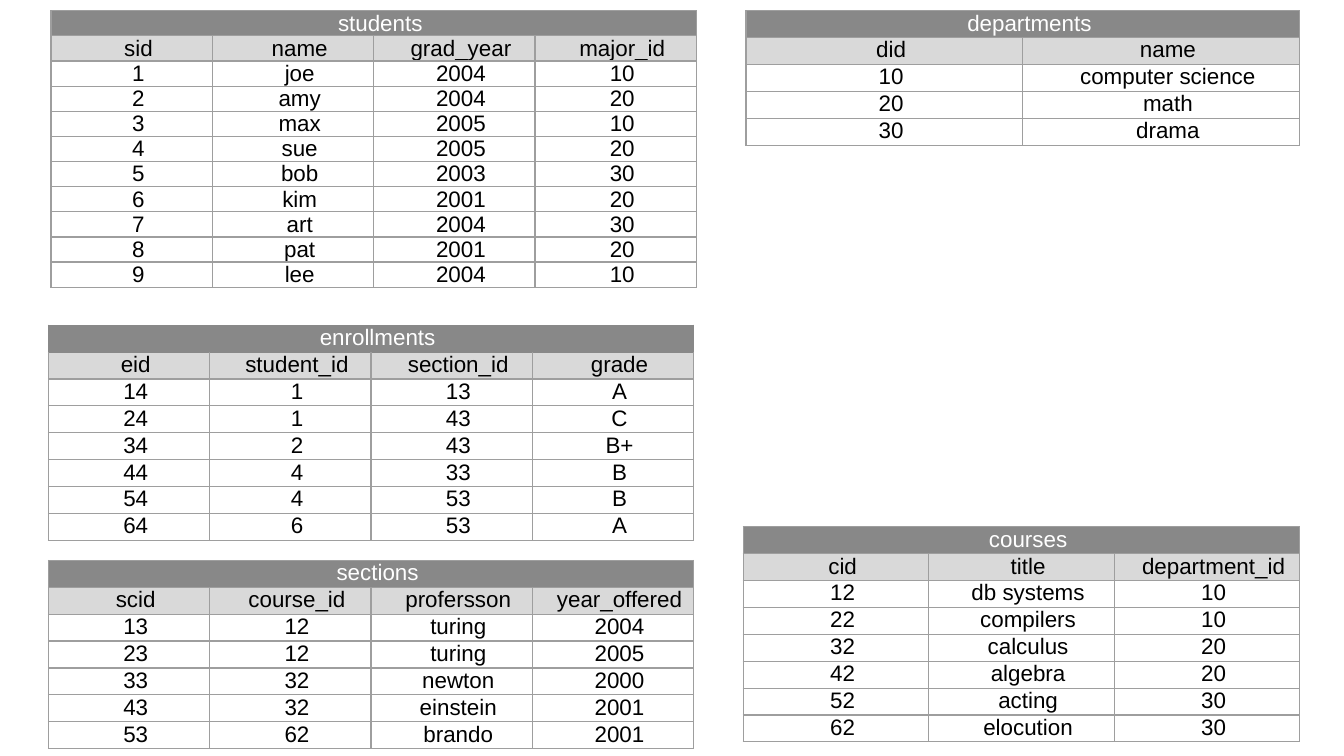
from dataclasses import dataclass

from lxml import etree
from pptx import Presentation
from pptx.dml.color import RGBColor
from pptx.enum.text import PP_ALIGN
from pptx.oxml.ns import qn
from pptx.util import Inches, Pt

CENTER = PP_ALIGN.CENTER
BLANK_LAYOUT = 6


@dataclass(frozen=True)
class Theme:
    font: str = "Arial"
    size: int = 12
    title_fill: str = "888888"
    header_fill: str = "D9D9D9"
    border: str = "9E9E9E"
    border_width: float = 0.75
    title_text: str = "FFFFFF"
    text: str = "000000"


THEME = Theme()

STUDENTS = [
    ("sid", "name", "grad_year", "major_id"),
    ("1", "joe", "2004", "10"),
    ("2", "amy", "2004", "20"),
    ("3", "max", "2005", "10"),
    ("4", "sue", "2005", "20"),
    ("5", "bob", "2003", "30"),
    ("6", "kim", "2001", "20"),
    ("7", "art", "2004", "30"),
    ("8", "pat", "2001", "20"),
    ("9", "lee", "2004", "10"),
]
DEPARTMENTS = [
    ("did", "name"),
    ("10", "computer science"),
    ("20", "math"),
    ("30", "drama"),
]
COURSES = [
    ("cid", "title", "department_id"),
    ("12", "db systems", "10"),
    ("22", "compilers", "10"),
    ("32", "calculus", "20"),
    ("42", "algebra", "20"),
    ("52", "acting", "30"),
    ("62", "elocution", "30"),
]
SECTIONS = [
    ("scid", "course_id", "profersson", "year_offered"),
    ("13", "12", "turing", "2004"),
    ("23", "12", "turing", "2005"),
    ("33", "32", "newton", "2000"),
    ("43", "32", "einstein", "2001"),
    ("53", "62", "brando", "2001"),
]
ENROLLMENTS = [
    ("eid", "student_id", "section_id", "grade"),
    ("14", "1", "13", "A"),
    ("24", "1", "43", "C"),
    ("34", "2", "43", "B+"),
    ("44", "4", "33", "B"),
    ("54", "4", "53", "B"),
    ("64", "6", "53", "A"),
]


def set_borders(cell, color, top_color):
    tcPr = cell._tc.get_or_add_tcPr()
    for side in ("lnL", "lnR", "lnT", "lnB"):
        ln = etree.SubElement(tcPr, qn(f"a:{side}"), w=str(Pt(THEME.border_width)))
        fill = etree.SubElement(ln, qn("a:solidFill"))
        etree.SubElement(fill, qn("a:srgbClr"), val=top_color if side == "lnT" else color)


def set_fill(cell, color):
    if color:
        cell.fill.solid()
        cell.fill.fore_color.rgb = RGBColor.from_string(color)
    else:
        cell.fill.background()


def set_text(cell, text, color):
    cell.margin_left = Inches(0.1)
    cell.margin_right = cell.margin_top = cell.margin_bottom = 0
    p = cell.text_frame.paragraphs[0]
    p.text = text
    p.alignment = CENTER
    p.font.size = Pt(THEME.size)
    for r in p.runs:
        r.font.name = THEME.font
        r.font.size = Pt(THEME.size)
        r.font.color.rgb = RGBColor.from_string(color)


def add_relation(slide, title, rows, left, top, col_width, row_height=0.2,
                 title_border=THEME.border):
    n_cols = len(rows[0])
    grid = [(title,) + ("",) * (n_cols - 1)] + rows
    table = slide.shapes.add_table(
        len(grid), n_cols, Inches(left), Inches(top),
        Inches(col_width * n_cols), Inches(row_height * len(grid))).table
    table.first_row = table.horz_banding = False
    for column in table.columns:
        column.width = Inches(col_width)
    for row in table.rows:
        row.height = Inches(row_height)

    fills = {0: THEME.title_fill, 1: THEME.header_fill}
    for i, values in enumerate(grid):
        for j, value in enumerate(values):
            cell = table.cell(i, j)
            set_text(cell, value, THEME.title_text if i == 0 else THEME.text)
            set_borders(cell, title_border if i == 0 else THEME.border,
                        title_border if i < 2 else THEME.border)
            set_fill(cell, fills.get(i))
    table.cell(0, 0).merge(table.cell(0, n_cols - 1))


def main():
    prs = Presentation()
    prs.slide_width = Inches(10)
    prs.slide_height = prs.slide_width * 9 // 16
    slide = prs.slides.add_slide(prs.slide_layouts[BLANK_LAYOUT])
    add_relation(slide, "students", STUDENTS, 0.38, 0.08, 1.2, row_height=0.16)
    add_relation(slide, "departments", DEPARTMENTS, 5.55, 0.08, 2.06)
    add_relation(slide, "courses", COURSES, 5.53, 3.92, 1.38)
    add_relation(slide, "sections", SECTIONS, 0.36, 4.17, 1.2)
    add_relation(slide, "enrollments", ENROLLMENTS, 0.36, 2.42, 1.2,
                 title_border=THEME.title_fill)
    prs.save("out.pptx")


if __name__ == "__main__":
    main()
